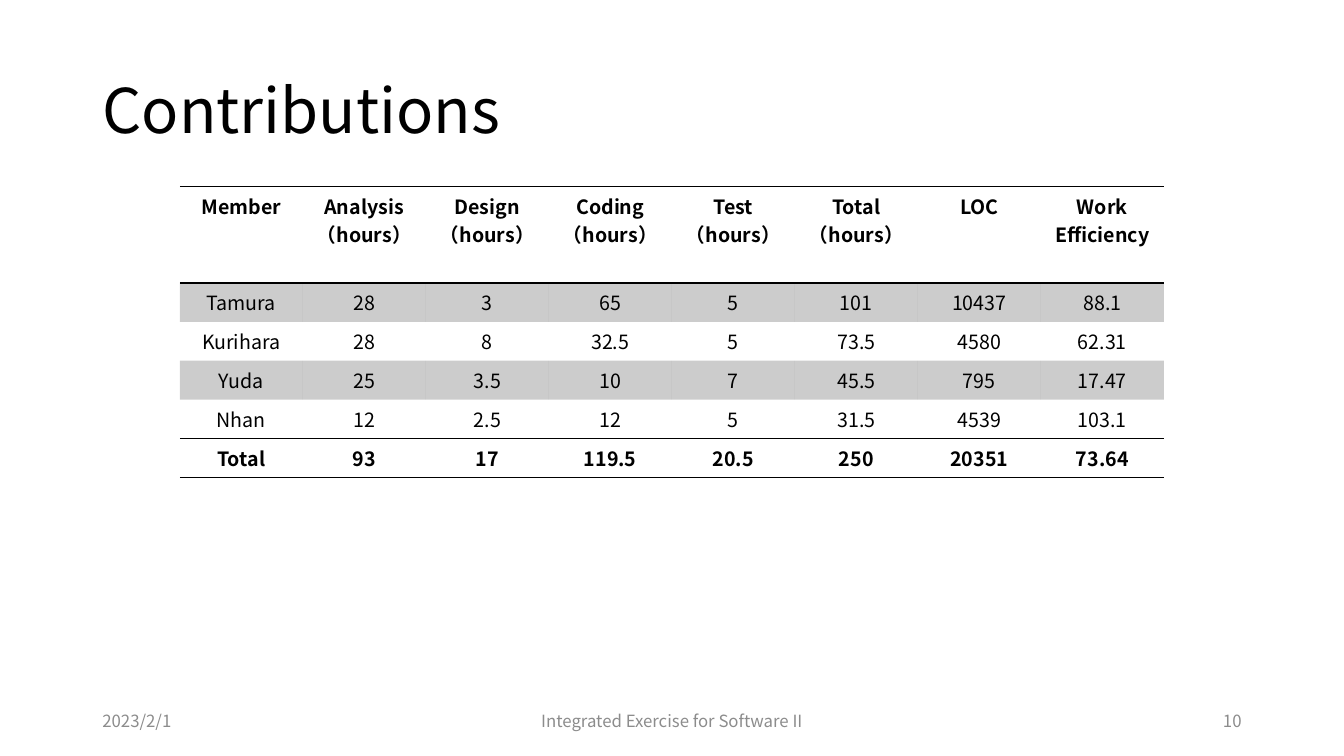
from lxml.etree import SubElement
from pptx import Presentation
from pptx.dml.color import RGBColor
from pptx.enum.text import MSO_ANCHOR, PP_ALIGN
from pptx.oxml import parse_xml
from pptx.oxml.ns import nsdecls, qn
from pptx.util import Cm, Pt

FONT = "Noto Sans CJK JP"
BLACK, GREY = "000000", "8C8C8C"
NO_STYLE = "{2D5ABB26-0587-4C30-8999-92F81FD0307C}"

TITLE = "Contributions"
ROWS = [
    ["Member", "Analysis\n（hours）", "Design\n（hours）", "Coding\n（hours）",
     "Test\n（hours）", "Total\n（hours）", "LOC", "Work Efficiency"],
    ["Tamura", "28", "3", "65", "5", "101", "10437", "88.1"],
    ["Kurihara", "28", "8", "32.5", "5", "73.5", "4580", "62.31"],
    ["Yuda", "25", "3.5", "10", "7", "45.5", "795", "17.47"],
    ["Nhan", "12", "2.5", "12", "5", "31.5", "4539", "103.1"],
    ["Total", "93", "17", "119.5", "20.5", "250", "20351", "73.64"],
]
FOOTER = [  # text, left, width, alignment
    ("2023/2/1", 2.33, 7.62, PP_ALIGN.LEFT),
    ("Integrated Exercise for Software II", 11.22, 11.43, PP_ALIGN.CENTER),
    ("10", 23.92, 7.62, PP_ALIGN.RIGHT),
]
COL_W, HEAD_H, ROW_H = 3.1, 2.43, 0.98


def rgb(color):
    return RGBColor.from_string(color)


def write(tf, text, size, color, align, bold=False):
    tf.text = text
    for p in tf.paragraphs:
        p.alignment = align
        for r in p.runs:
            r.font.size, r.font.bold, r.font.name = Pt(size), bold, FONT
            r.font.color.rgb = rgb(color)
            SubElement(r.font._element, qn("a:ea"), typeface=FONT)


def rule_above_and_below(cell):
    tc_pr = cell._tc.get_or_add_tcPr()
    for i, tag in enumerate(("lnT", "lnB")):
        tc_pr.insert(i, parse_xml(
            f'<a:{tag} {nsdecls("a")} w="12700"><a:solidFill>'
            f'<a:srgbClr val="{BLACK}"/></a:solidFill></a:{tag}>'))


def shade(cell):
    """Fill the cell with 20 % black."""
    cell.fill.solid()
    cell.fill.fore_color.rgb = rgb(BLACK)
    color = cell._tc.tcPr.find(".//" + qn("a:srgbClr"))
    SubElement(color, qn("a:alpha"), val="20000")


def add_title(s):
    title = s.shapes.title
    title.left, title.top, title.width, title.height = Cm(2.33), Cm(1.01), Cm(29.21), Cm(3.68)
    tf = title.text_frame
    write(tf, TITLE, 44, BLACK, PP_ALIGN.LEFT)
    tf.vertical_anchor = MSO_ANCHOR.MIDDLE
    tf.paragraphs[0].line_spacing = 0.9


def add_contributions(s):
    n_rows, n_cols = len(ROWS), len(ROWS[0])
    frame = s.shapes.add_table(n_rows, n_cols, Cm(4.53), Cm(4.7), Cm(COL_W * n_cols),
                               Cm(HEAD_H + ROW_H * (n_rows - 1)))
    table = frame.table
    table._tbl.tblPr.find(qn("a:tableStyleId")).text = NO_STYLE
    table.horz_banding = False
    for col in table.columns:
        col.width = Cm(COL_W)
    for i, values in enumerate(ROWS):
        table.rows[i].height = Cm(ROW_H if i else HEAD_H)
        outer = i in (0, n_rows - 1)
        for j, value in enumerate(values):
            cell = table.cell(i, j)
            write(cell.text_frame, value, 14, BLACK, PP_ALIGN.CENTER, bold=outer)
            if i % 2 and not outer:
                shade(cell)
            else:
                cell.fill.background()
            if outer:
                rule_above_and_below(cell)


def add_footer(s):
    for text, left, width, align in FOOTER:
        tf = s.shapes.add_textbox(Cm(left), Cm(17.65), Cm(width), Cm(1.01)).text_frame
        tf.word_wrap = True
        tf.vertical_anchor = MSO_ANCHOR.MIDDLE
        write(tf, text, 12, GREY, align)


def main():
    prs = Presentation()
    prs.slide_width, prs.slide_height = Cm(33.87), Cm(19.05)
    s = prs.slides.add_slide(prs.slide_layouts[5])
    add_title(s)
    add_contributions(s)
    add_footer(s)
    prs.save("out.pptx")


if __name__ == "__main__":
    main()
